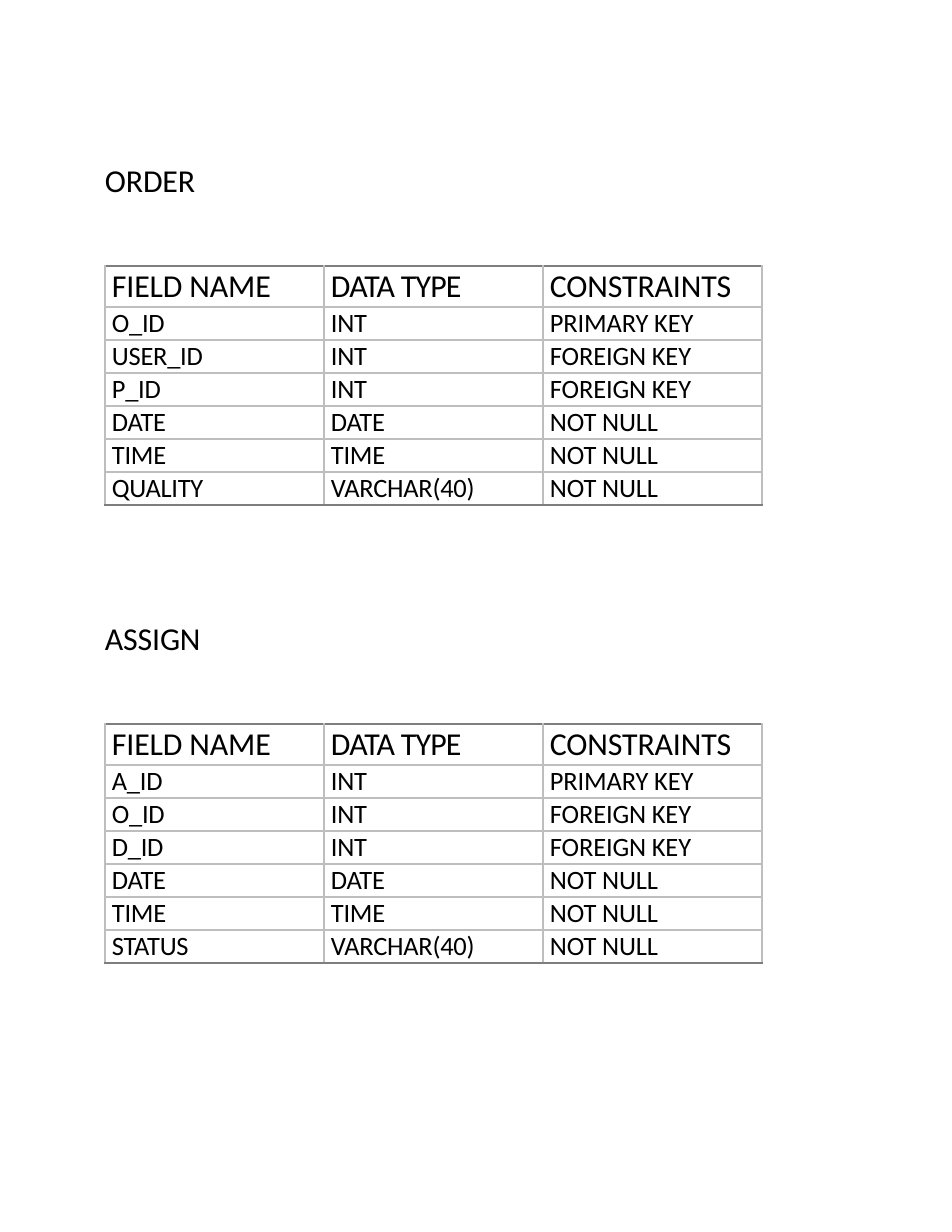
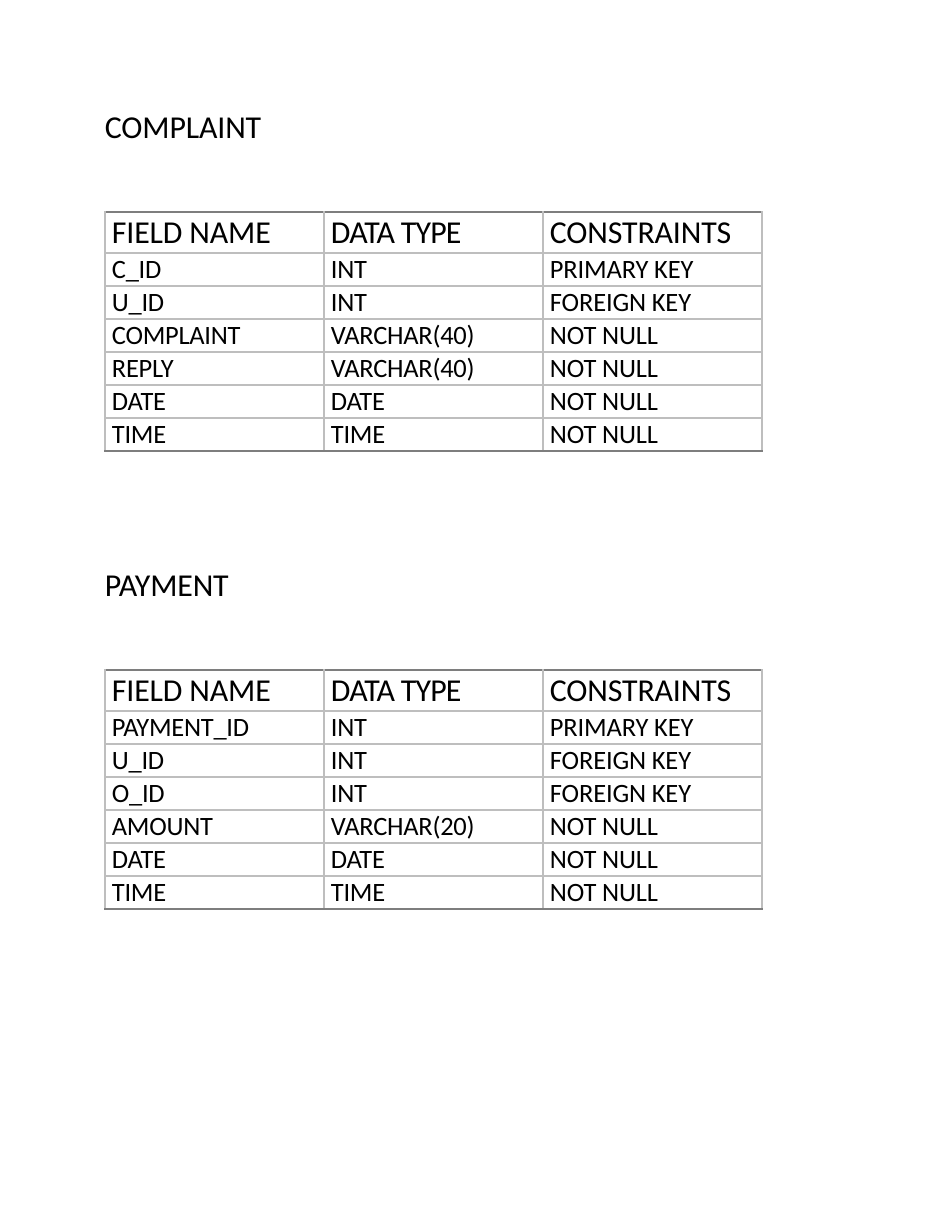
from lxml import etree
from pptx import Presentation
from pptx.dml.color import RGBColor
from pptx.oxml.ns import qn
from pptx.util import Pt

PX = 914400 // 112
FONT, INK = "Calibri", "000000"
GRID, EDGE = "BEBEBE", "7E7E7E"
LEFT, COLUMN_WIDTH = 105, 219
HEADER_HEIGHT, ROW_HEIGHT = 41, 33
TITLE_HEIGHT, TITLE_TO_TABLE = 41, 109
HEADER = ("FIELD NAME", "DATA TYPE", "CONSTRAINTS")
HEADER_TRACKING = (-10, -50, -10)
BODY_TRACKING = (-20, -20, -10)
PRIMARY, FOREIGN, REQUIRED = "PRIMARY KEY", "FOREIGN KEY", "NOT NULL"

# Each entity: name, title top, title width, fields
PAGES = [
    [
        ("ORDER", 157, 95, [
            ("O_ID", "INT", PRIMARY),
            ("USER_ID", "INT", FOREIGN),
            ("P_ID", "INT", FOREIGN),
            ("DATE", "DATE", REQUIRED),
            ("TIME", "TIME", REQUIRED),
            ("QUALITY", "VARCHAR(40)", REQUIRED),
        ]),
        ("ASSIGN", 615, 101, [
            ("A_ID", "INT", PRIMARY),
            ("O_ID", "INT", FOREIGN),
            ("D_ID", "INT", FOREIGN),
            ("DATE", "DATE", REQUIRED),
            ("TIME", "TIME", REQUIRED),
            ("STATUS", "VARCHAR(40)", REQUIRED),
        ]),
    ],
    [
        ("COMPLAINT", 103, 162, [
            ("C_ID", "INT", PRIMARY),
            ("U_ID", "INT", FOREIGN),
            ("COMPLAINT", "VARCHAR(40)", REQUIRED),
            ("REPLY", "VARCHAR(40)", REQUIRED),
            ("DATE", "DATE", REQUIRED),
            ("TIME", "TIME", REQUIRED),
        ]),
        ("PAYMENT", 561, 129, [
            ("PAYMENT_ID", "INT", PRIMARY),
            ("U_ID", "INT", FOREIGN),
            ("O_ID", "INT", FOREIGN),
            ("AMOUNT", "VARCHAR(20)", REQUIRED),
            ("DATE", "DATE", REQUIRED),
            ("TIME", "TIME", REQUIRED),
        ]),
    ],
]


def write(holder, text, size, tracking, left, top):
    """Fill a text box or cell; tracking is in hundredths of a point."""
    frame = holder.text_frame
    frame.text = text
    frame.word_wrap = True
    holder_margins = holder if hasattr(holder, "margin_left") else frame
    holder_margins.margin_left, holder_margins.margin_top = left * PX, top * PX
    holder_margins.margin_right = holder_margins.margin_bottom = 0
    run = frame.paragraphs[0].runs[0]
    run.font.name, run.font.size = FONT, Pt(size)
    run.font.color.rgb = RGBColor.from_string(INK)
    run.font._element.set("spc", str(tracking))


def draw_border(cell, side, color):
    line = etree.SubElement(cell._tc.get_or_add_tcPr(), qn(f"a:ln{side}"), w=str(Pt(1)))
    fill = etree.SubElement(line, qn("a:solidFill"))
    etree.SubElement(fill, qn("a:srgbClr"), val=color)


deck = Presentation()
deck.slide_width, deck.slide_height = 952 * PX, 1232 * PX

for entities in PAGES:
    slide = deck.slides.add_slide(deck.slide_layouts[6])
    for name, top, title_width, fields in entities:
        title = slide.shapes.add_textbox(
            (LEFT - 1) * PX, top * PX, title_width * PX, TITLE_HEIGHT * PX)
        write(title, name, 20.5, -10, 1, 4)

        rows = [HEADER] + fields
        height = HEADER_HEIGHT + ROW_HEIGHT * len(fields)
        schema = slide.shapes.add_table(
            len(rows), len(HEADER), LEFT * PX, (top + TITLE_TO_TABLE) * PX,
            COLUMN_WIDTH * len(HEADER) * PX, height * PX).table
        schema.first_row = schema.horz_banding = False
        for column in schema.columns:
            column.width = COLUMN_WIDTH * PX

        for r, values in enumerate(rows):
            is_header, is_last = r == 0, r == len(fields)
            schema.rows[r].height = (HEADER_HEIGHT if is_header else ROW_HEIGHT) * PX
            size = 20.5 if is_header else 17
            trackings = HEADER_TRACKING if is_header else BODY_TRACKING
            for c, value in enumerate(values):
                cell = schema.cell(r, c)
                write(cell, value, size, trackings[c], 7, 1 if is_header else 0)
                draw_border(cell, "L", GRID)
                draw_border(cell, "R", GRID)
                draw_border(cell, "T", EDGE if is_header else GRID)
                draw_border(cell, "B", EDGE if is_last else GRID)
                cell.fill.background()

deck.save("out.pptx")
